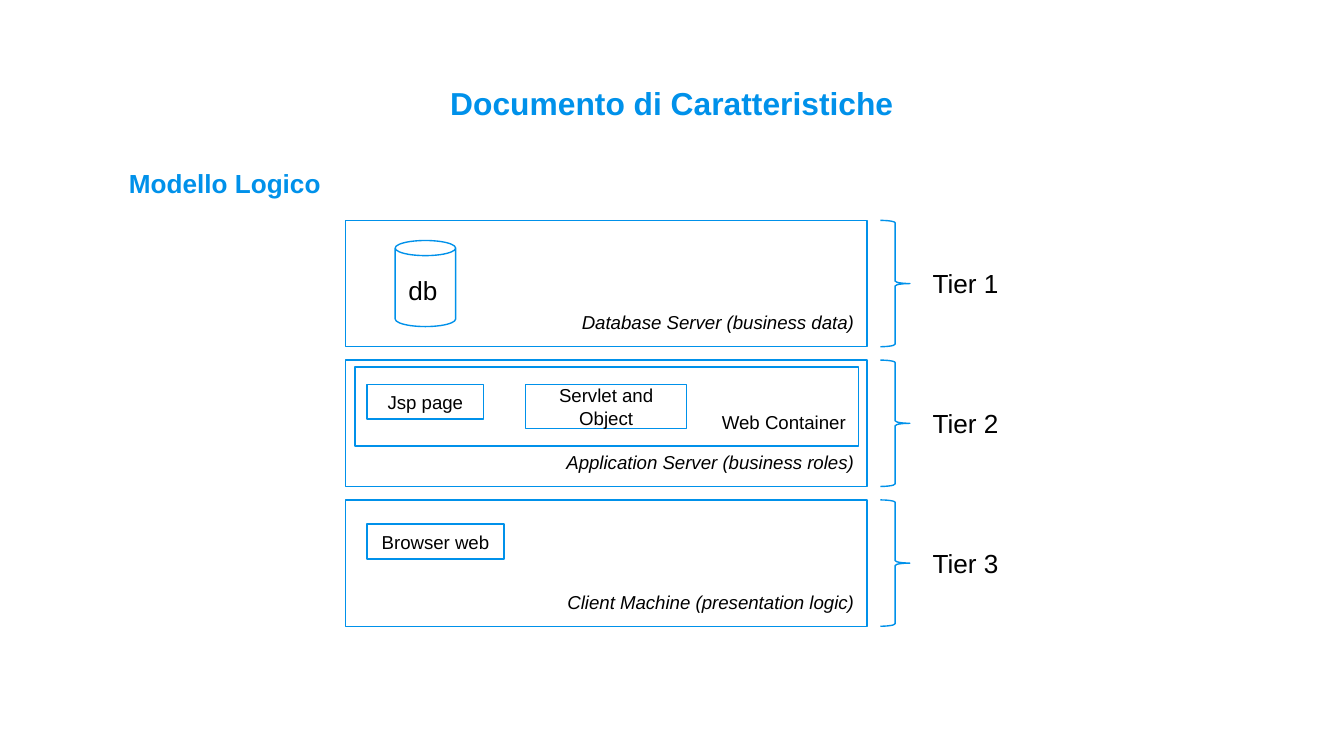
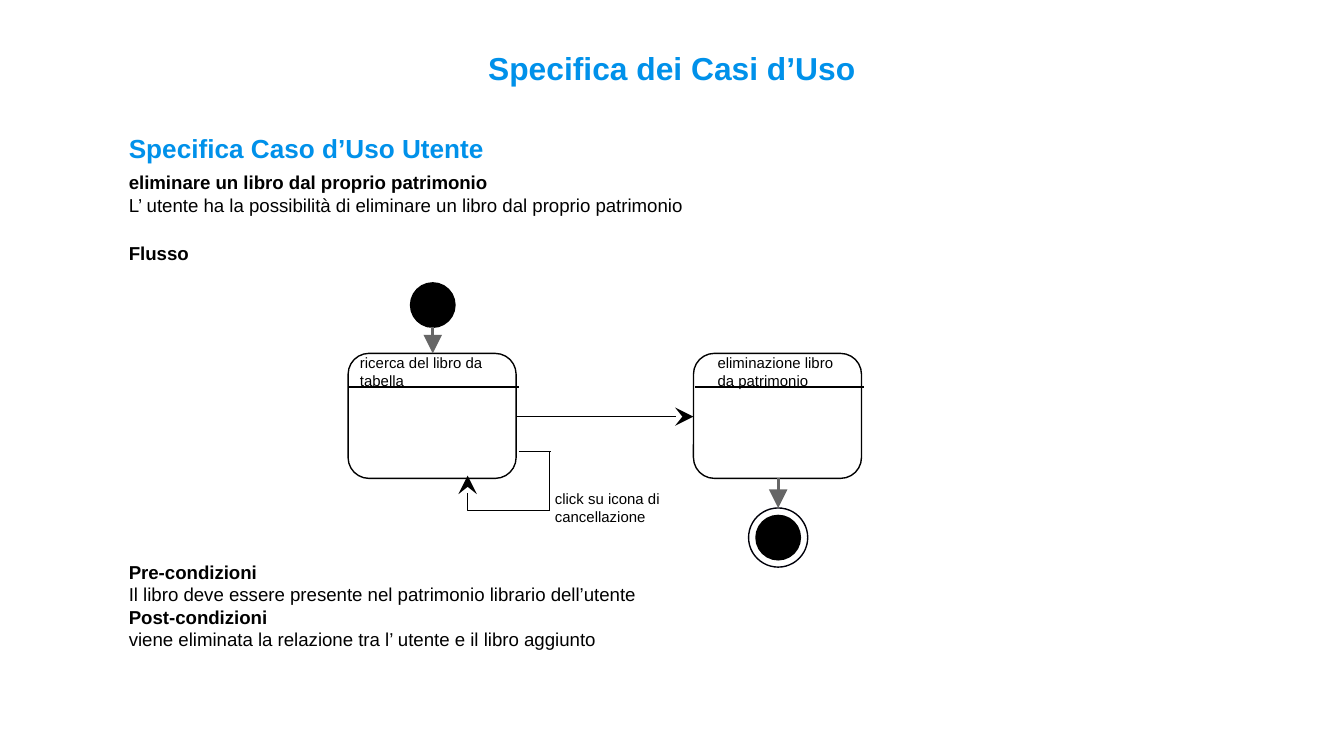
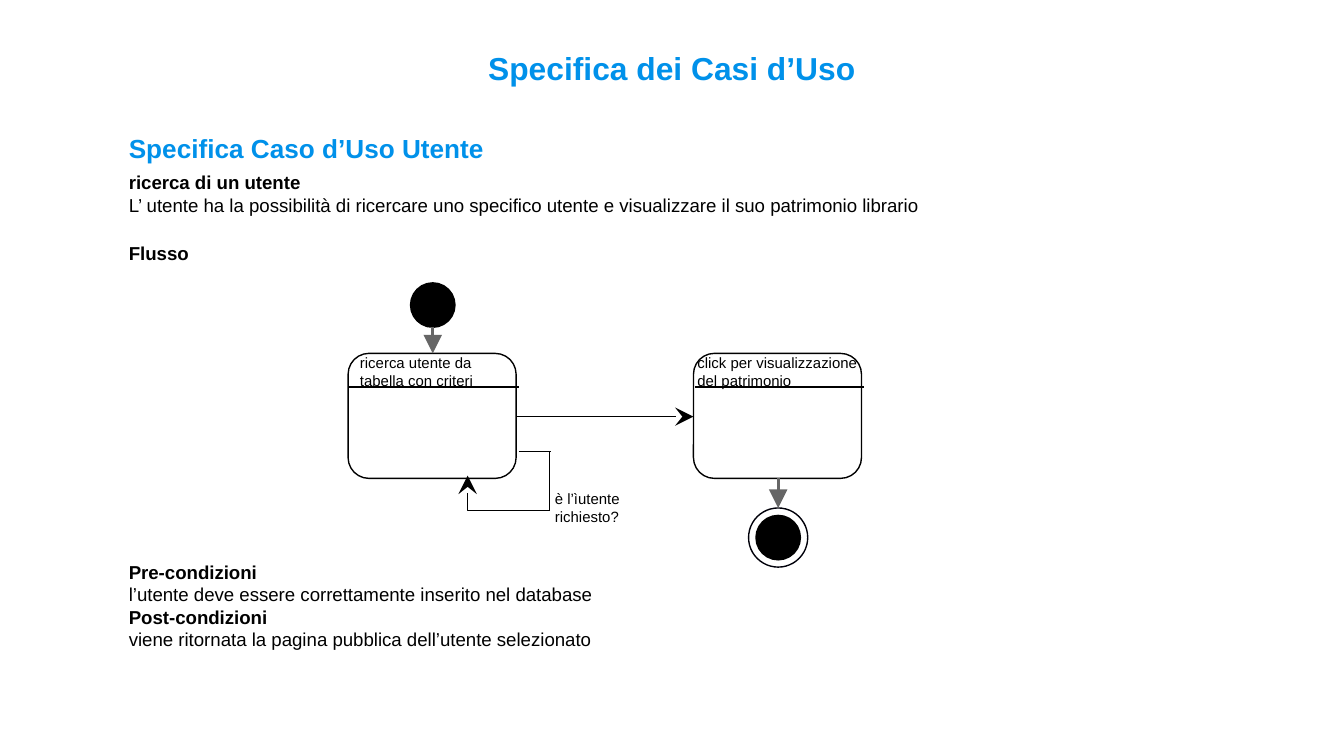
"""Build three slides: a logical tier model and two use case flows."""
import pptx
import pptx.dml.color
import pptx.enum.shapes
import pptx.enum.text
import pptx.oxml.ns
import pptx.util
from lxml import etree

Inches = pptx.util.Inches
Pt = pptx.util.Pt
RGBColor = pptx.dml.color.RGBColor
Preset = pptx.enum.shapes.MSO_SHAPE
Route = pptx.enum.shapes.MSO_CONNECTOR
Align = pptx.enum.text.PP_ALIGN
Anchor = pptx.enum.text.MSO_ANCHOR
qn = pptx.oxml.ns.qn

BLUE = RGBColor(0x00, 0x91, 0xEA)
BLACK = RGBColor(0x00, 0x00, 0x00)
GREY = RGBColor(0x66, 0x66, 0x66)
RING = RGBColor(0x00, 0x00, 0x0A)
FONT = "Arial"

STYLE = dict(size=10, bold=False, italic=False, color=BLACK, align=Align.LEFT,
             before=0, after=0, spacing=1)
TITLE = dict(size=17, bold=True, color=BLUE, align=Align.CENTER, after=4)
SUBTITLE = dict(size=14, bold=True, color=BLUE, before=18, after=4, spacing=1.15)
STRONG = dict(bold=True)
FLOW_HEADING = dict(bold=True, before=12, after=2, spacing=1.15)
AFTER_DIAGRAM = dict(bold=True, before=157)


def write(shapes, box, *paragraphs, preset=None, line=None, weight=0.75, fill=None,
          anchor=Anchor.TOP, **style):
    """Place a text box or preset shape holding strings or (string, format) pairs."""
    place = [Inches(length) for length in box]
    if preset is None:
        holder = shapes.add_textbox(*place)
    else:
        holder = shapes.add_shape(preset, *place)
        holder.shadow.inherit = False
        holder.line.color.rgb = line
        holder.line.width = Pt(weight)
        if fill is None:
            holder.fill.background()
        else:
            holder.fill.solid()
            holder.fill.fore_color.rgb = fill
    frame = holder.text_frame
    frame.word_wrap = True
    frame.vertical_anchor = anchor
    frame.margin_left = frame.margin_right = Inches(0.1)
    frame.margin_top = frame.margin_bottom = Inches(0.1)
    for index, entry in enumerate(paragraphs):
        text, changes = (entry, {}) if isinstance(entry, str) else entry
        look = {**STYLE, **style, **changes}
        paragraph = frame.add_paragraph() if index else frame.paragraphs[0]
        paragraph.alignment = look["align"]
        paragraph.line_spacing = look["spacing"]
        paragraph.space_before = Pt(look["before"])
        paragraph.space_after = Pt(look["after"])
        run = paragraph.add_run()
        run.text = text
        run.font.name = FONT
        run.font.size = Pt(look["size"])
        run.font.bold = look["bold"]
        run.font.italic = look["italic"]
        run.font.color.rgb = look["color"]


def connect(shapes, start, end, route=Route.STRAIGHT, color=BLACK, weight=0.75, head=None):
    """Draw a line, with an optional large arrowhead at its end."""
    link = shapes.add_connector(route, *[Inches(length) for length in start + end])
    link.line.color.rgb = color
    link.line.width = Pt(weight)
    properties = link.element.spPr
    if head:
        etree.SubElement(properties.find(qn("a:ln")), qn("a:tailEnd"),
                         type=head, w="lg", len="lg")
    etree.SubElement(properties, qn("a:effectLst"))
    if route == Route.ELBOW:
        guides = properties.find(qn("a:prstGeom")).find(qn("a:avLst"))
        etree.SubElement(guides, qn("a:gd"), name="adj1", fmla="val 100000")


deck = pptx.Presentation()
deck.slide_width = Inches(10)
deck.slide_height = Inches(10) * 9 // 16
blank = deck.slide_layouts[6]

model = deck.slides.add_slide(blank).shapes
write(model, (0.86, 0.52, 8.28, 4.75),
      ("Documento di Caratteristiche", TITLE), ("Modello Logico", SUBTITLE))

tiers = ["Database Server (business data)", "Application Server (business roles)",
         "Client Machine (presentation logic)"]
for number, server in enumerate(tiers):
    top = 1.64 + 1.04 * number
    write(model, (2.57, top, 3.88, 0.94), server, preset=Preset.RECTANGLE, line=BLUE,
          anchor=Anchor.BOTTOM, align=Align.RIGHT, italic=True)
    write(model, (6.55, top, 0.22, 0.94), preset=Preset.RIGHT_BRACE, line=BLUE)
    write(model, (6.84, top + 0.34, 1.02, 0.26), f"Tier {number + 1}",
          anchor=Anchor.MIDDLE, size=14)

write(model, (2.94, 1.79, 0.45, 0.64), "db", preset=Preset.CAN, line=BLUE,
      anchor=Anchor.BOTTOM, size=14)
write(model, (2.64, 2.73, 3.75, 0.59), "Web Container", preset=Preset.RECTANGLE, line=BLUE,
      anchor=Anchor.BOTTOM, align=Align.RIGHT)
components = [("Jsp page", (2.73, 2.86, 0.87, 0.26)),
              ("Servlet and Object", (3.91, 2.86, 1.2, 0.33)),
              ("Browser web", (2.73, 3.9, 1.02, 0.26))]
for component, box in components:
    write(model, box, component, preset=Preset.RECTANGLE, line=BLUE,
          anchor=Anchor.MIDDLE, align=Align.CENTER)

use_cases = [
    dict(name="eliminare un libro dal proprio patrimonio",
         summary="L’ utente ha la possibilità di eliminare un libro dal proprio patrimonio",
         search=["ricerca del libro da tabella"],
         retry=["click su icona di", "cancellazione"],
         result=["eliminazione libro", "da patrimonio"],
         result_box=(5.24, 2.53, 1.09, 0.22),
         before="Il libro deve essere presente nel patrimonio librario dell’utente",
         after="viene eliminata la relazione tra l’ utente e il libro aggiunto"),
    dict(name="ricerca di un utente",
         summary="L’ utente ha la possibilità di ricercare uno specifico utente "
                 "e visualizzare il suo patrimonio librario",
         search=["ricerca utente da tabella con criteri"],
         retry=["è l’ìutente richiesto?"],
         result=["click per visualizzazione del patrimonio"],
         result_box=(5.09, 2.53, 1.45, 0.22),
         before="l’utente deve essere correttamente inserito nel database",
         after="viene ritornata la pagina pubblica dell’utente selezionato"),
]
for case in use_cases:
    flow = deck.slides.add_slide(blank).shapes
    write(flow, (0.86, 0.26, 8.28, 5.01),
          ("Specifica dei Casi d’Uso", TITLE),
          ("Specifica Caso d’Uso Utente", SUBTITLE),
          (case["name"], STRONG),
          case["summary"],
          ("Flusso", FLOW_HEADING),
          ("Pre-condizioni", AFTER_DIAGRAM),
          case["before"],
          ("Post-condizioni", STRONG),
          case["after"])

    for left in (2.59, 5.16):
        state = flow.add_group_shape().shapes
        write(state, (left, 2.63, 1.25, 0.93), preset=Preset.ROUNDED_RECTANGLE, line=BLACK)
        connect(state, (left + 0.01, 2.88), (left + 1.27, 2.88))
    for left, top in ((3.06, 2.11), (5.63, 3.84)):
        write(flow, (left, top, 0.32, 0.32), preset=Preset.OVAL, line=BLACK, weight=1.5,
              fill=BLACK)
    write(flow, (5.57, 3.78, 0.44, 0.44), preset=Preset.OVAL, line=RING)

    connect(flow, (3.22, 2.43), (3.22, 2.63), color=GREY, weight=1.5, head="triangle")
    connect(flow, (5.79, 3.56), (5.79, 3.78), color=GREY, weight=1.5, head="triangle")
    connect(flow, (3.85, 3.1), (5.16, 3.1), head="stealth")
    connect(flow, (3.86, 3.36), (4.1, 3.36))
    connect(flow, (4.09, 3.36), (4.09, 3.8))
    connect(flow, (4.09, 3.8), (3.48, 3.54), route=Route.ELBOW, head="stealth")

    write(flow, (2.58, 2.53, 1.26, 0.22), *case["search"], size=8)
    write(flow, case["result_box"], *case["result"], size=8)
    write(flow, (4.03, 3.54, 1.09, 0.22), *case["retry"], size=8)

deck.save("out.pptx")
